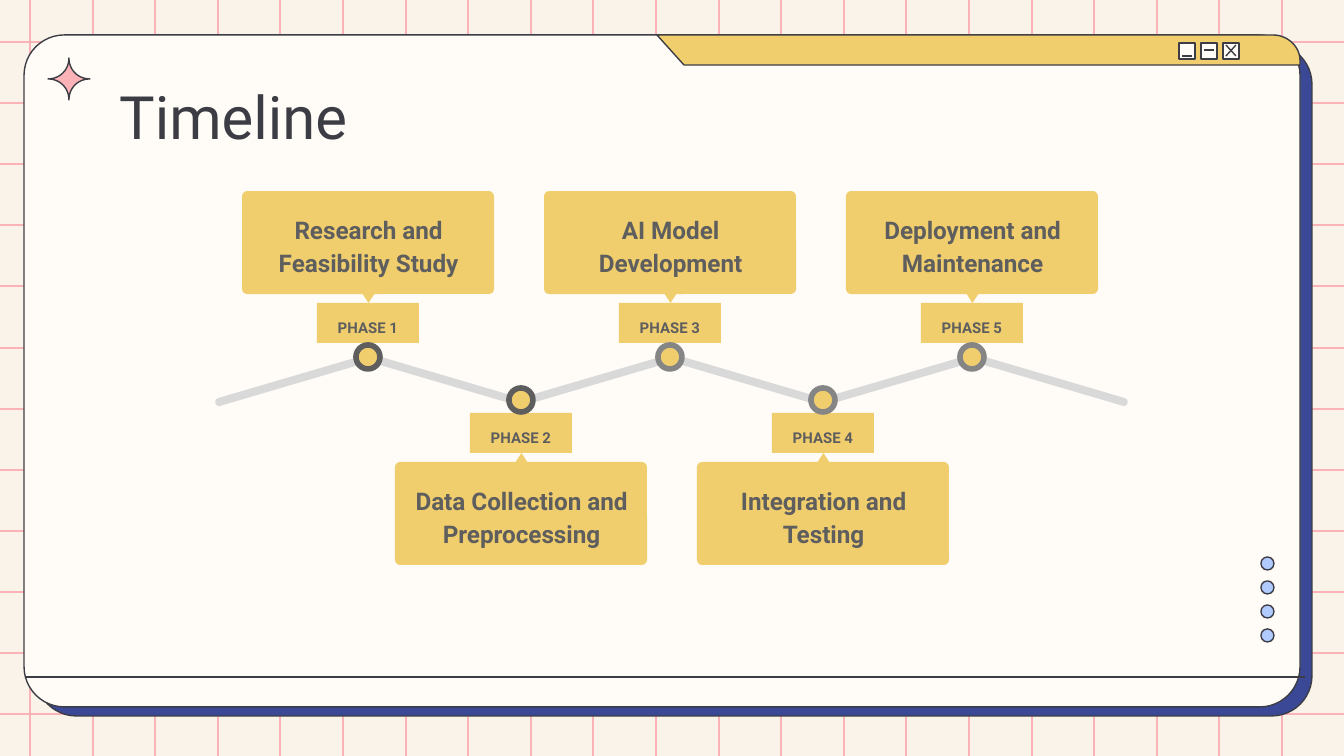
from dataclasses import dataclass

from lxml import etree
from pptx import Presentation
from pptx.dml.color import RGBColor
from pptx.enum.shapes import MSO_CONNECTOR, MSO_SHAPE
from pptx.enum.text import MSO_ANCHOR, PP_ALIGN
from pptx.oxml.ns import qn
from pptx.util import Emu, Pt

RECT, ROUND = MSO_SHAPE.RECTANGLE, MSO_SHAPE.ROUNDED_RECTANGLE
OVAL, TRIANGLE = MSO_SHAPE.OVAL, MSO_SHAPE.ISOSCELES_TRIANGLE
STRAIGHT = MSO_CONNECTOR.STRAIGHT
LEFT, CENTER, TOP = PP_ALIGN.LEFT, PP_ALIGN.CENTER, MSO_ANCHOR.TOP

EMU_PER_PX = 914400 / 134.4
WIDTH, HEIGHT = 1344, 756
CREAM, PAPER, PINK, NAVY = "F9F3EA", "FFFCF7", "FCB3B7", "3A4896"
INK, GOLD, SKY, TRACK = "3C3D44", "F1CE6D", "B1CBFF", "D9D9D9"
GRAY, LIGHT_GRAY = "5E5E5E", "858585"
THIN, RING = 0.75, 3


@dataclass
class Phase:
    center: int
    title: str
    ring: str


@dataclass
class Level:
    card: int
    tag: int
    node: int
    pointer: int
    turn: int


PHASES = [
    Phase(368, "Research and Feasibility Study", GRAY),
    Phase(521, "Data Collection and Preprocessing", GRAY),
    Phase(670, "AI Model Development", LIGHT_GRAY),
    Phase(823, "Integration and Testing", LIGHT_GRAY),
    Phase(972, "Deployment and Maintenance", LIGHT_GRAY),
]
UPPER = Level(card=191, tag=303, node=345, pointer=293, turn=180)
LOWER = Level(card=462, tag=413, node=388, pointer=453, turn=0)


def px(n: float) -> Emu:
    return Emu(round(n * EMU_PER_PX))


def rgb(value: str) -> RGBColor:
    return RGBColor.from_string(value)


def paint(sp, fill: str, line: str = "", weight: float = THIN):
    sp.shadow.inherit = False
    sp.fill.solid()
    sp.fill.fore_color.rgb = rgb(fill)
    if line:
        sp.line.color.rgb = rgb(line)
        sp.line.width = Pt(weight)
    else:
        sp.line.fill.background()
    return sp


def add_box(s, kind, x: int, y: int, w: int, h: int, fill: str,
            line: str = "", weight: float = THIN, adj: float = 0):
    sp = paint(s.shapes.add_shape(kind, px(x), px(y), px(w), px(h)), fill, line, weight)
    if adj:
        sp.adjustments[0] = adj
    return sp


def add_line(s, x1: int, y1: int, x2: int, y2: int, color: str) -> None:
    line = s.shapes.add_connector(STRAIGHT, px(x1), px(y1), px(x2), px(y2))
    line.line.color.rgb = rgb(color)
    line.line.width = Pt(THIN)
    etree.SubElement(line._element.spPr, qn("a:effectLst"))


def curve(a: tuple, b: tuple, c: tuple, d: tuple, steps: int = 12) -> list[tuple]:
    """Points along a cubic Bezier curve."""
    ts = [i / steps for i in range(steps + 1)]
    return [tuple((1 - t) ** 3 * p0 + 3 * (1 - t) ** 2 * t * p1
                  + 3 * (1 - t) * t ** 2 * p2 + t ** 3 * p3
                  for p0, p1, p2, p3 in zip(a, b, c, d)) for t in ts]


def add_outline(s, points: list[tuple], fill: str) -> None:
    pts = [(px(x), px(y)) for x, y in points]
    builder = s.shapes.build_freeform(*pts[0])
    builder.add_line_segments(pts[1:], close=True)
    paint(builder.convert_to_shape(), fill, INK)


def set_text(sp, text: str, size: int, color: str, bold: bool = False,
             align=CENTER, spacing: float = 1.15, after: int = 16) -> None:
    tf = sp.text_frame
    tf.word_wrap = True
    tf.vertical_anchor = TOP
    for side in ("left", "top", "right", "bottom"):
        setattr(tf, f"margin_{side}", Pt(7.2))
    p = tf.paragraphs[0]
    formats = {"alignment": align, "line_spacing": spacing, "space_after": Pt(after)}
    for name, value in formats.items():
        setattr(p, name, value)
    r = p.add_run()
    r.text = text
    for name, value in {"name": "Roboto", "size": Pt(size), "bold": bold}.items():
        setattr(r.font, name, value)
    r.font.color.rgb = rgb(color)


def draw_grid(s) -> None:
    for i in range(21):
        x = round(30 + 62.6 * i)
        add_line(s, x, 0, x, HEIGHT, PINK)
    for i in range(12):
        y = round(42 + 61.1 * i)
        add_line(s, 0, y, WIDTH, y, PINK)


def draw_window(s) -> None:
    for x, y, fill in ((36, 44, NAVY), (24, 35, PAPER)):
        add_box(s, ROUND, x, y, 1276, 672, fill, INK, adj=0.06)
    corner = curve((1300, 60), (1300, 47), (1288, 35), (1273, 35))
    add_outline(s, [(657, 35), (684, 65), (1300, 65)] + corner, GOLD)
    # Window buttons
    for x in (1179, 1201, 1223):
        add_box(s, RECT, x, 43, 16, 16, PAPER, INK)
    for line in ((1182, 56, 1192, 56), (1204, 50, 1214, 50),
                 (1226, 45, 1236, 56), (1226, 56, 1236, 45)):
        add_line(s, *line, INK)
    add_line(s, 25, 677, 1305, 677, INK)


def draw_ornaments(s) -> None:
    # Four-pointed star
    cx, cy, arm, bend = 69, 79, 21, 9
    tips = [(0, -1), (1, 0), (0, 1), (-1, 0)]
    star = []
    for (ax, ay), (bx, by) in zip(tips, tips[1:] + tips[:1]):
        star += curve(*((cx + k * x, cy + k * y) for k, x, y in
                        ((arm, ax, ay), (bend, ax, ay), (bend, bx, by), (arm, bx, by))))
    add_outline(s, star, PINK)
    # Side dots
    for i in range(4):
        add_box(s, OVAL, 1261, 557 + 24 * i, 13, 13, SKY, INK)


def draw_track(s) -> None:
    for i in range(6):
        sp = add_box(s, ROUND, 212 + 151 * i, 376, 164, 8, TRACK, adj=0.5)
        sp.rotation = 16.4 if i % 2 else -16.4


def draw_phase(s, number: int, phase: Phase, level: Level) -> None:
    x = phase.center
    add_box(s, ROUND, x - 126, level.card, 252, 103, GOLD, adj=0.05)
    label = add_box(s, RECT, x - 119, level.card + 6, 239, 91, GOLD)
    set_text(label, phase.title, 13, GRAY, bold=True)
    add_box(s, TRIANGLE, x - 6, level.pointer, 13, 10, GOLD).rotation = level.turn
    tag = add_box(s, RECT, x - 51, level.tag, 102, 40, GOLD)
    set_text(tag, f"PHASE {number}", 8, GRAY, bold=True)
    add_box(s, OVAL, x - 12, level.node, 24, 24, GOLD, phase.ring, RING)


def main() -> None:
    prs = Presentation()
    prs.slide_width, prs.slide_height = px(WIDTH), px(HEIGHT)
    s = prs.slides.add_slide(prs.slide_layouts[6])
    s.background.fill.solid()
    s.background.fill.fore_color.rgb = rgb(CREAM)

    draw_grid(s)
    draw_window(s)
    draw_ornaments(s)
    title = s.shapes.add_textbox(px(106), px(66), px(1133), px(85))
    set_text(title, "Timeline", 32, INK, align=LEFT, spacing=1, after=0)

    # Timeline, alternating above and below the track
    draw_track(s)
    for number, phase in enumerate(PHASES, 1):
        draw_phase(s, number, phase, UPPER if number % 2 else LOWER)
    prs.save("out.pptx")


if __name__ == "__main__":
    main()
